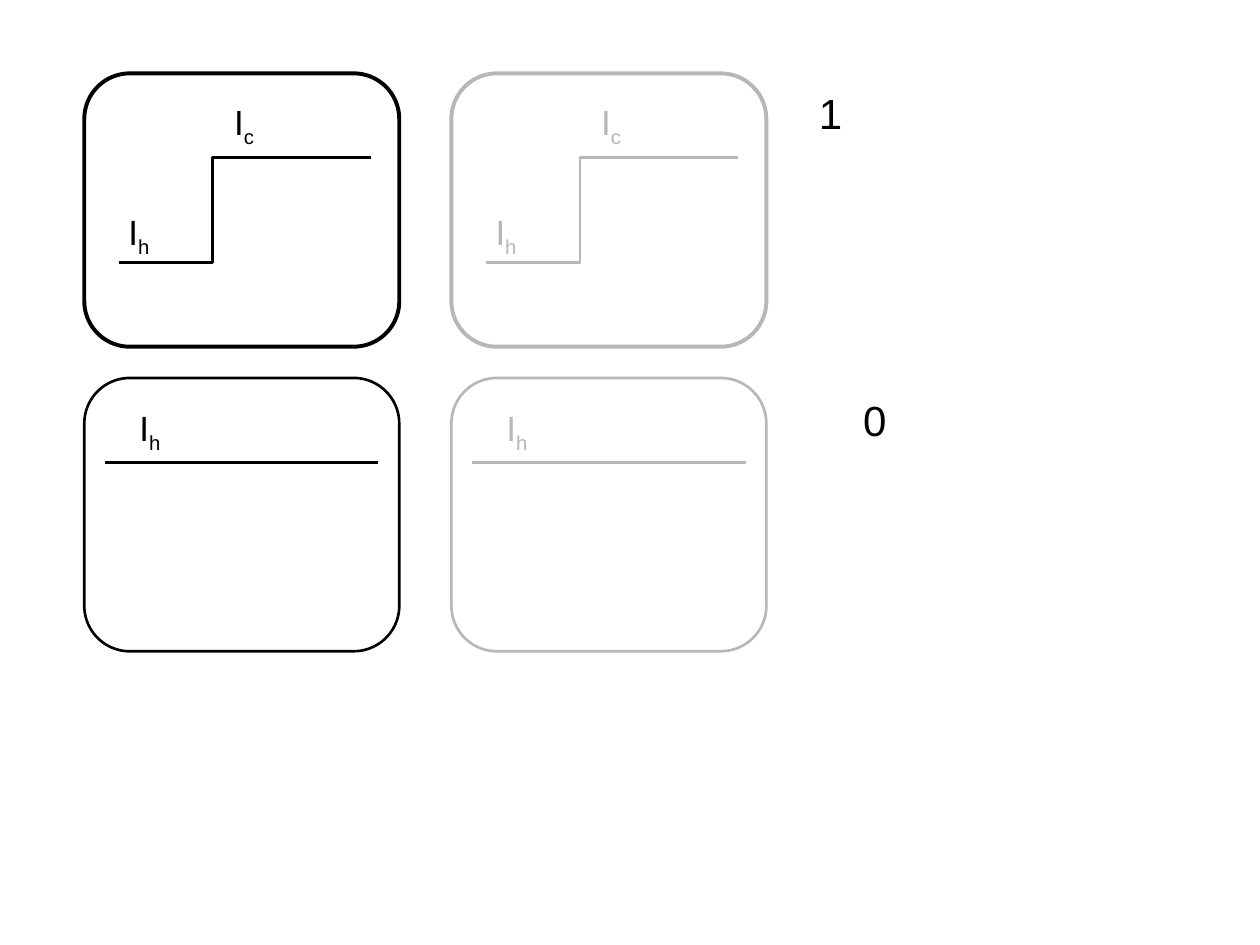
from pptx import Presentation
from pptx.dml.color import RGBColor
from pptx.enum.shapes import MSO_CONNECTOR, MSO_SHAPE
from pptx.enum.text import MSO_AUTO_SIZE
from pptx.oxml.ns import qn
from pptx.util import Cm, Pt
from lxml.etree import SubElement

BLACK = RGBColor(0x00, 0x00, 0x00)
GRAY = RGBColor(0xB7, 0xB7, 0xB7)
WHITE = RGBColor(0xFF, 0xFF, 0xFF)

# All lengths are in centimetres; trace and label places count from the panel corner.
PANEL_W, PANEL_H = 6.35, 5.51
LABEL_W, LABEL_H = 0.97, 1.22
COLUMNS = [(1.70, BLACK), (9.10, GRAY)]
ROWS = [
    {"top": 1.48, "border": 2.25,
     "trace": [(0.69, 3.81), (2.59, 3.81), (2.59, 1.70), (5.77, 1.70)],
     "labels": [("h", 0.64, 2.64), ("c", 2.77, 0.43)]},
    {"top": 7.62, "border": 1.5,
     "trace": [(0.42, 1.70), (5.93, 1.70)],
     "labels": [("h", 0.86, 0.46)]},
]
BITS = [("1", 16.26, 1.63), ("0", 17.15, 7.82)]
TRACE_WIDTH = 1.5


def set_line(sp, color, width):
    sp.line.color.rgb = color
    sp.line.width = Pt(width)


def add_text(shapes, x, y, w, h, text, size, color, subscript=""):
    tf = shapes.add_textbox(Cm(x), Cm(y), Cm(w), Cm(h)).text_frame
    tf.word_wrap = False
    tf.auto_size = MSO_AUTO_SIZE.SHAPE_TO_FIT_TEXT
    p = tf.paragraphs[0]
    for part in filter(None, (text, subscript)):
        r = p.add_run()
        r.text = part
        for name, value in {"name": "Arial", "size": Pt(size)}.items():
            setattr(r.font, name, value)
        r.font.color.rgb = color
    if subscript:
        r._r.get_or_add_rPr().set("baseline", "-25000")


def add_trace(shapes, points, color):
    """Draw a straight connector for two points, an open outline for more."""
    points = [(Cm(x), Cm(y)) for x, y in points]
    if len(points) == 2:
        sp = shapes.add_connector(MSO_CONNECTOR.STRAIGHT, *points[0], *points[1])
        SubElement(sp._element.spPr, qn("a:effectLst"))
    else:
        builder = shapes.build_freeform(*points[0])
        builder.add_line_segments(points[1:], close=False)
        sp = builder.convert_to_shape()
        sp.fill.background()
        sp.shadow.inherit = False
    set_line(sp, color, TRACE_WIDTH)


def add_panel(s, left, color, row):
    top = row["top"]
    shapes = s.shapes.add_group_shape().shapes
    sp = shapes.add_shape(MSO_SHAPE.ROUNDED_RECTANGLE,
                          Cm(left), Cm(top), Cm(PANEL_W), Cm(PANEL_H))
    sp.shadow.inherit = False
    sp.fill.solid()
    sp.fill.fore_color.rgb = WHITE
    set_line(sp, color, row["border"])
    add_trace(shapes, [(left + x, top + y) for x, y in row["trace"]], color)
    for subscript, x, y in row["labels"]:
        add_text(shapes, left + x, top + y, LABEL_W, LABEL_H, "I", 20, color, subscript)


def main():
    prs = Presentation()
    prs.slide_width, prs.slide_height = Cm(25.4), Cm(19.05)
    s = prs.slides.add_slide(prs.slide_layouts[6])
    for row in ROWS:
        for left, color in COLUMNS:
            add_panel(s, left, color, row)
    for bit, x, y in BITS:
        add_text(s.shapes, x, y, 0.97, 1.27, bit, 24, BLACK)
    prs.save("out.pptx")


if __name__ == "__main__":
    main()
